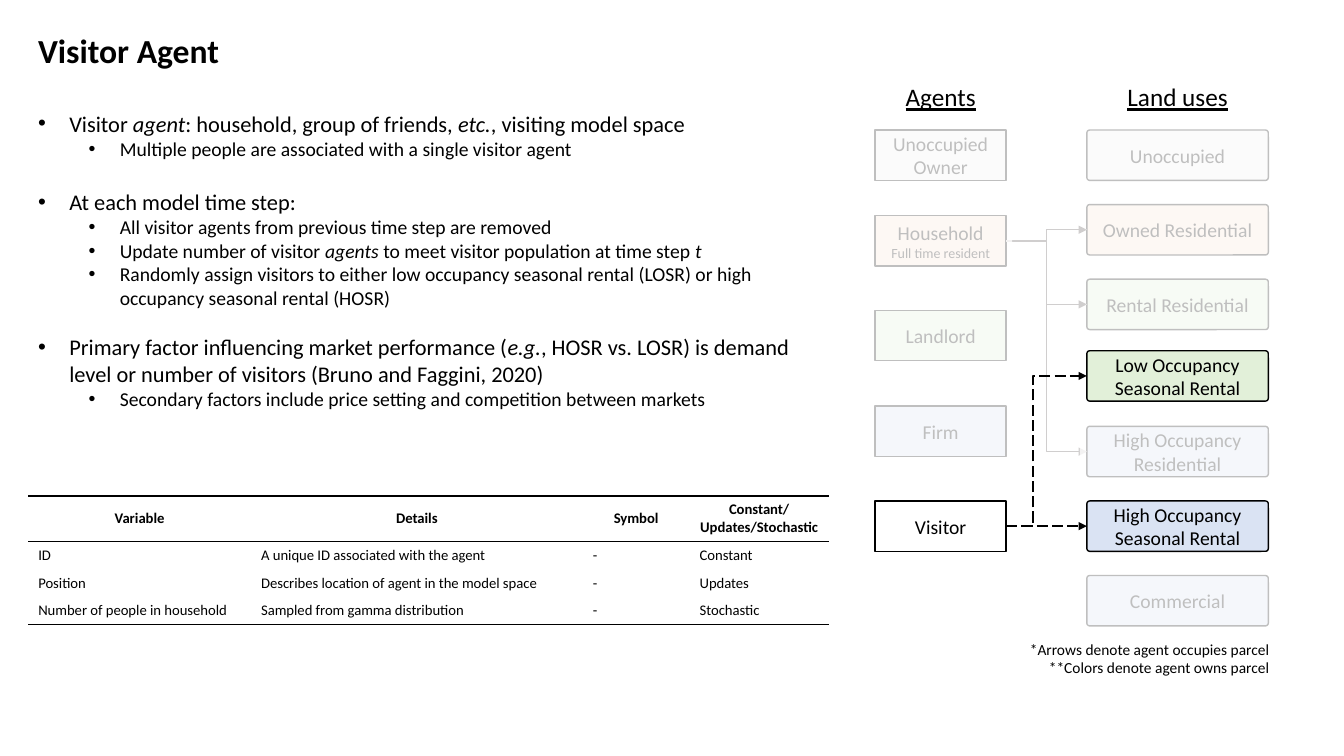
from dataclasses import dataclass
from typing import Optional

from lxml import etree
from pptx import Presentation
from pptx.dml.color import RGBColor
from pptx.enum.dml import MSO_LINE
from pptx.enum.shapes import MSO_CONNECTOR, MSO_SHAPE
from pptx.enum.text import MSO_ANCHOR, PP_ALIGN
from pptx.oxml.ns import qn
from pptx.util import Emu, Pt

RECT, ROUNDED = MSO_SHAPE.RECTANGLE, MSO_SHAPE.ROUNDED_RECTANGLE
STRAIGHT, ELBOW = MSO_CONNECTOR.STRAIGHT, MSO_CONNECTOR.ELBOW
LEFT, CENTER, RIGHT = PP_ALIGN.LEFT, PP_ALIGN.CENTER, PP_ALIGN.RIGHT
MIDDLE = MSO_ANCHOR.MIDDLE
LONG_DASH = MSO_LINE.LONG_DASH

FONT = "Calibri"
COLORS = {
    "black": "000000", "white": "FFFFFF", "gray": "F2F2F2", "peach": "FBE5D6",
    "green": "E2F0D9", "blue": "DAE3F3", "faded": "D0CECE",
}
AGENT_LEFT, AGENT_WIDTH = 868, 130
LAND_LEFT, LAND_WIDTH = 1078, 180
NODE_HEIGHT = 50


@dataclass
class Node:
    label: str
    top: int
    color: Optional[str] = None
    note: str = ""


@dataclass
class Arrow:
    start: int
    end: int
    color: str = "faded"
    dashed: bool = False
    bend: int = 50000


@dataclass
class Bullet:
    text: str
    level: int = 0
    before: int = 0


AGENTS = [
    Node("Unoccupied Owner", 129, "gray"),
    Node("Household", 214, "peach", "Full time resident"),
    Node("Landlord", 308, "green"),
    Node("Firm", 403, "blue"),
    Node("Visitor", 497),
]
LAND_USES = [
    Node("Unoccupied", 129, "gray"),
    Node("Owned Residential", 203, "peach"),
    Node("Rental Residential", 277, "green"),
    Node("Low Occupancy Seasonal Rental", 348, "green"),
    Node("High Occupancy Residential", 423, "blue"),
    Node("High Occupancy Seasonal Rental", 497, "blue"),
    Node("Commercial", 571, "blue"),
]
ARROWS = [
    Arrow(239, 228), Arrow(239, 302), Arrow(239, 448),
    Arrow(522, 373, "black", True, 33500), Arrow(522, 522, "black", True),
]
VEILS = [
    (844, 121, 440, 67), (1071, 409, 198, 73), (1069, 556, 198, 73),
    (1077, 196, 198, 140), (858, 204, 146, 260),
]
# Underscores enclose italic words
BULLETS = [
    Bullet("Visitor _agent_: household, group of friends, _etc._, visiting model space"),
    Bullet("Multiple people are associated with a single visitor agent", 1),
    Bullet("At each model time step:", 0, 20),
    Bullet("All visitor agents from previous time step are removed", 1),
    Bullet("Update number of visitor _agents_ to meet visitor population at time step _t_", 1),
    Bullet("Randomly assign visitors to either low occupancy seasonal rental (LOSR) "
           "or high occupancy seasonal rental (HOSR)", 1),
    Bullet("Primary factor influencing market performance (_e.g._, HOSR vs. LOSR) is demand "
           "level or number of visitors (Bruno and Faggini, 2020)", 0, 17),
    Bullet("Secondary factors include price setting and competition between markets", 1),
]
COLUMN_WIDTHS = [221, 329, 106, 138]
ROW_HEIGHTS = [45, 27, 27, 27]
VARIABLES = [
    ("Variable", "Details", "Symbol", "Constant/Updates/Stochastic"),
    ("ID", "A unique ID associated with the agent", "-", "Constant"),
    ("Position", "Describes location of agent in the model space", "-", "Updates"),
    ("Number of people in household", "Sampled from gamma distribution", "-", "Stochastic"),
]


def px(length: int) -> Emu:
    return Emu(length * 9144)


def rgb(name: str) -> RGBColor:
    return RGBColor.from_string(COLORS[name])


def write(para, text: str, size: float, bold=False, underline=False, align=LEFT) -> None:
    para.alignment = align
    for index, part in enumerate(text.split("_")):
        if part:
            span = para.add_run()
            span.text = part
            font = span.font
            font.name, font.size, font.bold = FONT, Pt(size), bold
            font.italic, font.underline = index % 2 == 1, underline
            font.color.rgb = rgb("black")


def add_text(page, bounds: tuple, lines: list, size: float, wrap=True, **style):
    box = page.shapes.add_textbox(*map(px, bounds))
    frame = box.text_frame
    frame.word_wrap = wrap
    for index, line in enumerate(lines):
        para = frame.add_paragraph() if index else frame.paragraphs[0]
        write(para, line, size, **style)


def add_bullets(page, bounds: tuple, bullets: list) -> None:
    frame = page.shapes.add_textbox(*map(px, bounds)).text_frame
    frame.word_wrap = True
    for index, bullet in enumerate(bullets):
        para = frame.add_paragraph() if index else frame.paragraphs[0]
        para.level = bullet.level
        if bullet.before:
            para.space_before = Pt(bullet.before)
        props = para._p.get_or_add_pPr()
        props.set("marL", str(px(31 + 50 * bullet.level)))
        props.set("indent", str(px(-31)))
        etree.SubElement(props, qn("a:buFont"), typeface="Arial")
        etree.SubElement(props, qn("a:buChar"), char="•")
        write(para, bullet.text, 16 - 2 * bullet.level)


def add_block(page, kind, bounds: tuple, color: Optional[str], outlined: bool):
    block = page.shapes.add_shape(kind, *map(px, bounds))
    block.shadow.inherit = False
    if color:
        block.fill.solid()
        block.fill.fore_color.rgb = rgb(color)
    else:
        block.fill.background()
    if outlined:
        block.line.color.rgb = rgb("black")
        block.line.width = Pt(1)
    else:
        block.line.fill.background()
    return block


def add_node(page, node: Node, kind, left: int, width: int) -> None:
    block = add_block(page, kind, (left, node.top, width, NODE_HEIGHT), node.color, True)
    if kind == ROUNDED:
        block.adjustments[0] = 0.057
    frame = block.text_frame
    frame.vertical_anchor = MIDDLE
    write(frame.paragraphs[0], node.label, 14, align=CENTER)
    if node.note:
        write(frame.add_paragraph(), node.note, 10, align=CENTER)


def add_arrow(page, arrow: Arrow) -> None:
    kind = STRAIGHT if arrow.start == arrow.end else ELBOW
    ends = (AGENT_LEFT + AGENT_WIDTH, arrow.start, LAND_LEFT, arrow.end)
    link = page.shapes.add_connector(kind, *map(px, ends))
    link.line.color.rgb = rgb(arrow.color)
    link.line.width = Pt(1)
    if arrow.dashed:
        link.line.dash_style = LONG_DASH
    props = link.element.spPr
    etree.SubElement(props.find(qn("a:ln")), qn("a:tailEnd"), type="triangle")
    etree.SubElement(props, qn("a:effectLst"))
    if kind == ELBOW:
        guides = next(props.iter(qn("a:avLst")))
        etree.SubElement(guides, qn("a:gd"), name="adj1", fmla=f"val {arrow.bend}")


def add_veil(page, bounds: tuple) -> None:
    veil = add_block(page, RECT, bounds, "white", False)
    tint = next(veil.element.spPr.iter(qn("a:srgbClr")))
    etree.SubElement(tint, qn("a:alpha"), val="75000")


def set_borders(cell, ruled: set) -> None:
    props = cell._tc.get_or_add_tcPr()
    for index, side in enumerate(("lnL", "lnR", "lnT", "lnB")):
        line = etree.Element(qn(f"a:{side}"), w=str(Pt(1)))
        if side in ruled:
            fill = etree.SubElement(line, qn("a:solidFill"))
            etree.SubElement(fill, qn("a:srgbClr"), val=COLORS["black"])
        else:
            etree.SubElement(line, qn("a:noFill"))
        props.insert(index, line)


def add_variables(page, left: int, top: int) -> None:
    bounds = (left, top, sum(COLUMN_WIDTHS), sum(ROW_HEIGHTS))
    table = page.shapes.add_table(len(VARIABLES), len(COLUMN_WIDTHS), *map(px, bounds)).table
    table.first_row = table.horz_banding = False
    for column, width in zip(table.columns, COLUMN_WIDTHS):
        column.width = px(width)
    rules = [{"lnT", "lnB"}, {"lnT"}, set(), {"lnB"}]
    for r, (texts, height, ruled) in enumerate(zip(VARIABLES, ROW_HEIGHTS, rules)):
        table.rows[r].height = px(height)
        for c, text in enumerate(texts):
            cell = table.cell(r, c)
            cell.fill.background()
            cell.vertical_anchor = MIDDLE
            set_borders(cell, ruled)
            write(cell.text_frame.paragraphs[0], text, 10.5, bold=r == 0,
                  align=LEFT if r else CENTER)


def main() -> None:
    deck = Presentation()
    deck.slide_width, deck.slide_height = px(1333), px(750)
    page = deck.slides.add_slide(deck.slide_layouts[6])

    # Title, bullets and table
    add_text(page, (28, 25, 313, 50), ["Visitor Agent"], 24, bold=True)
    add_bullets(page, (28, 104, 767, 337), BULLETS)
    add_variables(page, 28, 492)

    # Agents and land uses
    columns = [("Agents", AGENTS, RECT, AGENT_LEFT, AGENT_WIDTH),
               ("Land uses", LAND_USES, ROUNDED, LAND_LEFT, LAND_WIDTH)]
    for heading, nodes, kind, left, width in columns:
        add_text(page, (left, 76, width, 40), [heading], 18, underline=True, align=CENTER)
        for node in nodes:
            add_node(page, node, kind, left, width)
    for arrow in ARROWS:
        add_arrow(page, arrow)

    # Veils fade the parts not in focus
    for bounds in VEILS:
        add_veil(page, bounds)
    add_text(page, (1009, 630, 260, 47),
             ["*Arrows denote agent occupies parcel", "**Colors denote agent owns parcel"],
             11, wrap=False, align=RIGHT)
    deck.save("out.pptx")


if __name__ == "__main__":
    main()
